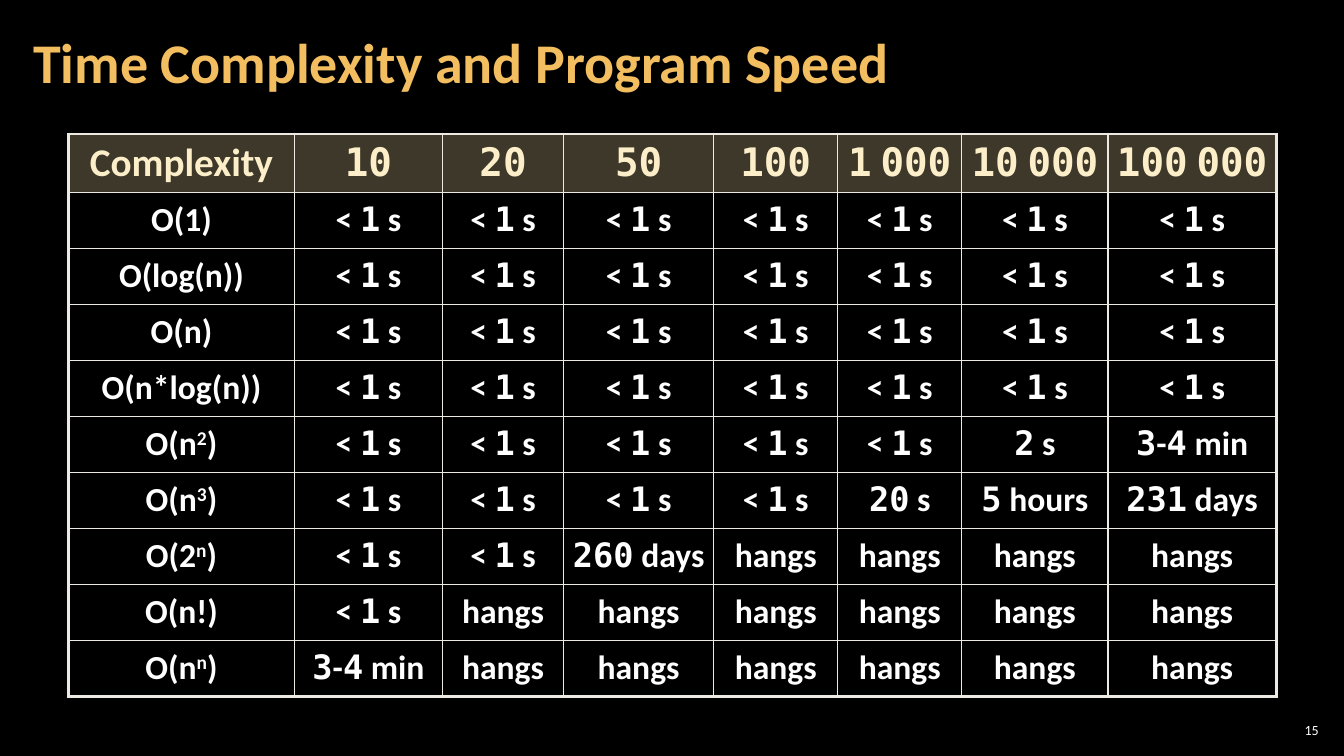
from itertools import groupby

from lxml import etree
from pptx import Presentation
from pptx import util as u
from pptx.dml.color import RGBColor
from pptx.enum import text
from pptx.oxml import ns

COLORS = {"back": "000000", "title": "F3BE60", "head": "FBEEC9",
          "body": "FFFFFF", "head_fill": "7C7154", "border": "ECEAE3"}
SANS, MONO = "Calibri", "DejaVu Sans Mono"

# Table grid, in inches
LEFT, TOP, HEIGHT = 0.68, 1.33, 5.58
COLUMNS = [2.24, 1.47, 1.2, 1.49, 1.23, 1.23, 1.45, 1.67]
HEAD_HEIGHT = 0.58
THIN, THICK = 1, 2.25

SIZES = ["10", "20", "50", "100", "1 000", "10 000", "100 000"]
FAST, HANGS = "< 1 s", "hangs"
# A caret marks the character to raise
SPEEDS = {
    "O(1)": [FAST] * 7,
    "O(log(n))": [FAST] * 7,
    "O(n)": [FAST] * 7,
    "O(n*log(n))": [FAST] * 7,
    "O(n^2)": [FAST] * 5 + ["2 s", "3-4 min"],
    "O(n^3)": [FAST] * 4 + ["20 s", "5 hours", "231 days"],
    "O(2^n)": [FAST] * 2 + ["260 days"] + [HANGS] * 4,
    "O(n!)": [FAST] + [HANGS] * 6,
    "O(n^n)": ["3-4 min"] + [HANGS] * 6,
}


def rgb(name):
    return RGBColor.from_string(COLORS[name])


def set_all(obj, values):
    for name, value in values.items():
        setattr(obj, name, value)


def add_run(p, words, size, color, bold=True, font=SANS):
    r = p.add_run()
    r.text = words
    set_all(r.font, {"name": font, "size": u.Pt(size), "bold": bold})
    r.font.color.rgb = rgb(color)
    return r


def add_text(slide, box, words, size, color, bold, margins, paragraph):
    tf = slide.shapes.add_textbox(*map(u.Inches, box)).text_frame
    side, edge = map(u.Inches, margins)
    set_all(tf, {"word_wrap": True, "vertical_anchor": text.MSO_ANCHOR.MIDDLE,
                 "margin_left": side, "margin_right": side,
                 "margin_top": edge, "margin_bottom": edge})
    p = tf.paragraphs[0]
    set_all(p, paragraph)
    add_run(p, words, size, color, bold)


def add_formula(p, words, size, color):
    base, _, rest = words.partition("^")
    add_run(p, base, size, color)
    if rest:
        raised = add_run(p, rest[0], size, color)
        raised.font._element.set("baseline", "30000")
        add_run(p, rest[1:], size, color)


def add_value(p, words, size, color):
    # Digits are monospaced, all else is not
    for is_digit, chars in groupby(words, str.isdigit):
        add_run(p, "".join(chars), size, color, font=MONO if is_digit else SANS)


def set_borders(cell, widths):
    tc_pr = cell._tc.get_or_add_tcPr()
    for i, (side, width) in enumerate(widths.items()):
        ln = etree.Element(ns.qn(f"a:ln{side}"), w=str(u.Pt(width)))
        fill = etree.SubElement(ln, ns.qn("a:solidFill"))
        etree.SubElement(fill, ns.qn("a:srgbClr"), val=COLORS["border"])
        tc_pr.insert(i, ln)


def fill_head(cell):
    cell.fill.solid()
    cell.fill.fore_color.rgb = rgb("head_fill")
    color = cell._tc.tcPr.find(".//" + ns.qn("a:srgbClr"))
    etree.SubElement(color, ns.qn("a:alpha"), val="50000")


def format_cell(cell, words, row, col, last_row, last_col):
    is_head = row == 0
    set_all(cell, {"vertical_anchor": text.MSO_ANCHOR.MIDDLE,
                   "margin_left": u.Inches(0.07), "margin_right": u.Inches(0.07),
                   "margin_top": 0, "margin_bottom": 0})
    p = cell.text_frame.paragraphs[0]
    set_all(p, {"alignment": text.PP_ALIGN.CENTER,
                "line_spacing": 0.95 if is_head else 1.0,
                "space_after": u.Pt(0 if is_head else 3)})
    write = add_formula if col == 0 else add_value
    write(p, words, *((28, "head") if is_head else (24, "body")))
    if is_head:
        fill_head(cell)
    else:
        cell.fill.background()
    outer = {"L": col == 0, "R": col == last_col, "T": is_head, "B": row == last_row}
    set_borders(cell, {side: THICK if edge else THIN for side, edge in outer.items()})


def add_speed_table(slide):
    rows = [["Complexity"] + SIZES] + [[name] + s for name, s in SPEEDS.items()]
    table = slide.shapes.add_table(
        len(rows), len(COLUMNS), u.Inches(LEFT), u.Inches(TOP),
        u.Inches(sum(COLUMNS)), u.Inches(HEIGHT)).table
    set_all(table, {"first_row": False, "horz_banding": False})
    for column, width in zip(table.columns, COLUMNS):
        column.width = u.Inches(width)
    row_height = (HEIGHT - HEAD_HEIGHT) / len(SPEEDS)
    for i, values in enumerate(rows):
        table.rows[i].height = u.Inches(row_height if i else HEAD_HEIGHT)
        for j, words in enumerate(values):
            format_cell(table.cell(i, j), words, i, j, len(rows) - 1, len(COLUMNS) - 1)


def main():
    prs = Presentation()
    set_all(prs, {"slide_width": u.Inches(13.33), "slide_height": u.Inches(7.5)})
    slide = prs.slides.add_slide(prs.slide_layouts[6])
    slide.background.fill.solid()
    slide.background.fill.fore_color.rgb = rgb("back")

    # Title
    add_text(slide, (0.21, 0.04, 10.47, 1.21), "Time Complexity and Program Speed",
             40, "title", True, (0.12, 0.04), {"line_spacing": 0.9})

    # Running times by input size
    add_speed_table(slide)

    # Page number
    add_text(slide, (12.65, 7.14, 0.47, 0.21), "15", 10, "body", False,
             (0.04, 0.04), {"alignment": text.PP_ALIGN.RIGHT})

    prs.save("out.pptx")


if __name__ == "__main__":
    main()
